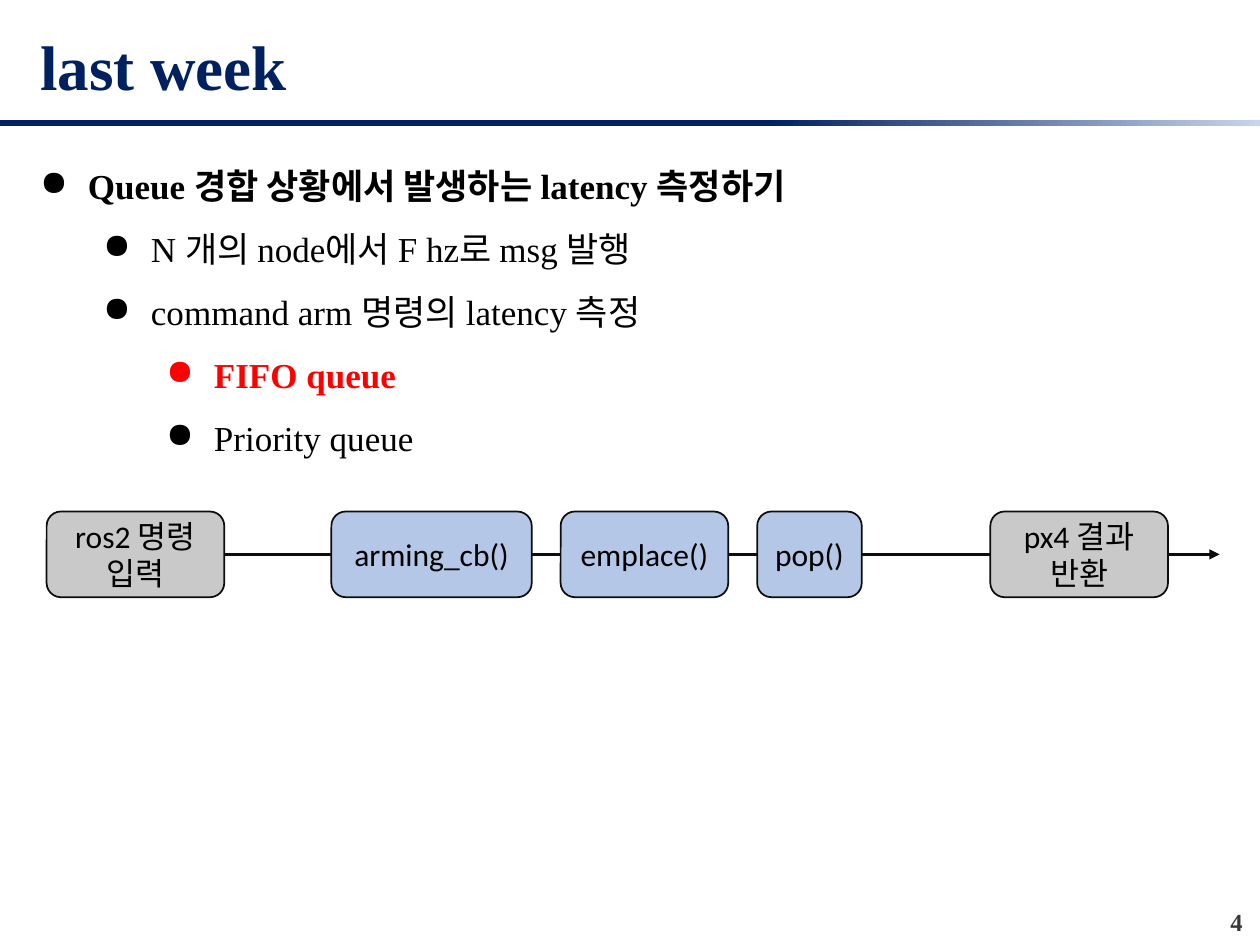
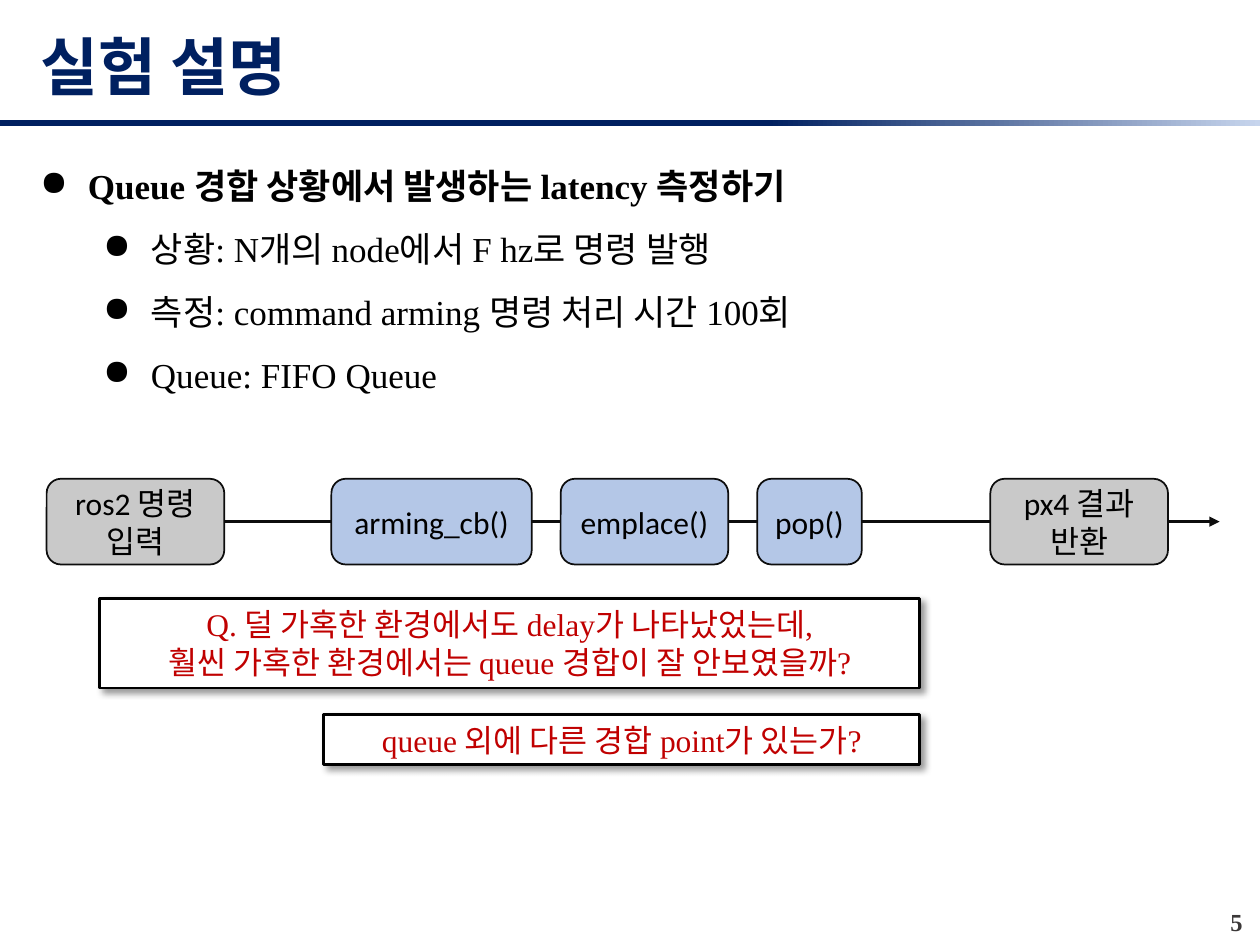
import pptx
import pptx.util
import pptx.dml.color
import pptx.enum.shapes
import pptx.enum.text
import pptx.oxml
import pptx.oxml.ns

SERIF, SANS = "Times New Roman", "Calibri"
COLORS = {
    "navy": "002060", "pale": "C7D5ED", "black": "000000", "white": "FFFFFF",
    "red": "FF0000", "question": "C00000", "page": "3B3838",
    "outline": "0D0D0D", "endpoint": "C9C9C9", "stage": "B4C7E7",
}

# Bullets: (level, text, colour, bold)
TOPIC = (0, "Queue 경합 상황에서 발생하는 latency 측정하기", "black", True)
SLIDES = [
    {
        "title": "last week",
        "page": 4,
        "bullets": [
            TOPIC,
            (1, "N 개의 node에서 F hz로 msg 발행", "black", False),
            (1, "command arm 명령의 latency 측정", "black", False),
            (2, "FIFO queue", "red", True),
            (2, "Priority queue", "black", False),
        ],
        "flow_top": 4.06,
        "questions": [],
    },
    {
        "title": "실험 설명",
        "page": 5,
        "bullets": [
            TOPIC,
            (1, "상황: N개의 node에서 F hz로 명령 발행", "black", False),
            (1, "측정: command arming 명령 처리 시간 100회", "black", False),
            (1, "Queue: FIFO Queue", "black", False),
        ],
        "flow_top": 3.8,
        # Questions: (lines, top, width, height)
        "questions": [
            (["Q. 덜 가혹한 환경에서도 delay가 나타났었는데,",
              "훨씬 가혹한 환경에서는 queue 경합이 잘 안보였을까?"], 4.75, 6.51, 0.71),
            (["queue 외에 다른 경합 point가 있는가?"], 5.67, 4.73, 0.4),
        ],
    },
]
# Flow from left to right: (text, gap before, width, colour)
FLOW = [
    ("ros2 명령 입력", 0.37, 1.41, "endpoint"),
    ("arming_cb()", 0.85, 1.59, "stage"),
    ("emplace()", 0.23, 1.33, "stage"),
    ("pop()", 0.23, 0.83, "stage"),
    ("px4 결과 반환", 1.02, 1.41, "endpoint"),
]

WIDTH, HEIGHT = 10, 7.5
MARGIN, TEXT_WIDTH = 0.22, 9.5
FLOW_HEIGHT = 0.68
ARROW_START, ARROW_END = 0.49, 9.68
QUESTION_RIGHT = 7.3
HANGING, LEVEL_STEP = 0.38, 0.5

SHAPES = pptx.enum.shapes.MSO_SHAPE
ALIGN = pptx.enum.text.PP_ALIGN
MIDDLE = pptx.enum.text.MSO_ANCHOR.MIDDLE
GROW = pptx.enum.text.MSO_AUTO_SIZE.SHAPE_TO_FIT_TEXT


def rgb(name):
    return pptx.dml.color.RGBColor.from_string(COLORS[name])


def inches(*lengths):
    return [pptx.util.Inches(length) for length in lengths]


def add_xml(parent, tag, inner="", **attributes):
    listed = "".join(f' {key}="{value}"' for key, value in attributes.items())
    parent.append(pptx.oxml.parse_xml(
        f'<a:{tag} {pptx.oxml.ns.nsdecls("a")}{listed}>{inner}</a:{tag}>'))


def write(paragraph, text, size, font, color, bold=False, align=ALIGN.LEFT):
    paragraph.alignment = align
    run = paragraph.add_run()
    run.text = text
    run.font.size = pptx.util.Pt(size)
    run.font.name = font
    run.font.bold = bold
    run.font.color.rgb = rgb(color)


def paragraphs(frame, count):
    """Return the frame's first paragraph and as many new ones as needed."""
    return [frame.paragraphs[0]] + [frame.add_paragraph() for _ in range(count - 1)]


def add_text_frame(slide, left, top, width, height):
    frame = slide.shapes.add_textbox(*inches(left, top, width, height)).text_frame
    frame.word_wrap = True
    return frame


def add_box(slide, preset, bounds, fill, line, line_width):
    box = slide.shapes.add_shape(preset, *inches(*bounds))
    box.shadow.inherit = False
    box.fill.solid()
    box.fill.fore_color.rgb = rgb(fill)
    box.line.color.rgb = rgb(line)
    box.line.width = pptx.util.Pt(line_width)
    box.text_frame.word_wrap = True
    box.text_frame.vertical_anchor = MIDDLE
    return box


def add_bullets(slide, bullets):
    frame = add_text_frame(slide, MARGIN, 1.09, TEXT_WIDTH, 0.06 + 0.5 * len(bullets))
    frame.auto_size = GROW
    for paragraph, (level, text, color, bold) in zip(paragraphs(frame, len(bullets)), bullets):
        properties = paragraph._p.get_or_add_pPr()
        indent, hanging = inches(HANGING + LEVEL_STEP * level, HANGING)
        properties.set("marL", str(indent))
        properties.set("indent", str(-hanging))
        add_xml(properties, "buChar", char="●")
        paragraph.level = level
        paragraph.line_spacing = 1.5
        write(paragraph, text, 20, SERIF, color, bold)


def add_frame(slide, title, page):
    """Add the page number, title and gradient rule that every slide has."""
    number = add_text_frame(slide, 9.54, 7.15, 0.42, 0.3)
    write(number.paragraphs[0], str(page), 14, SERIF, "page", True, ALIGN.RIGHT)
    heading = add_text_frame(slide, MARGIN, 0.12, TEXT_WIDTH, 0.8)
    heading.vertical_anchor = MIDDLE
    write(heading.paragraphs[0], title, 36, SERIF, "navy", True)

    rule = slide.shapes.add_shape(SHAPES.RECTANGLE, *inches(0, 0.95, WIDTH, 0.05))
    rule.shadow.inherit = False
    rule.line.fill.background()
    rule.fill.gradient()
    rule.fill.gradient_angle = 0
    for stop, color, position in zip(rule.fill.gradient_stops, ("navy", "pale"), (0.61, 1)):
        stop.color.rgb = rgb(color)
        stop.position = position


def add_flow(slide, top):
    middle = top + FLOW_HEIGHT / 2
    arrow = slide.shapes.add_connector(
        pptx.enum.shapes.MSO_CONNECTOR.STRAIGHT,
        *inches(ARROW_START, middle, ARROW_END, middle))
    arrow.line.color.rgb = rgb("outline")
    arrow.line.width = pptx.util.Pt(1.5)
    add_xml(arrow.line._get_or_add_ln(), "tailEnd", type="triangle")
    add_xml(arrow._element.spPr, "effectLst")

    left = 0
    for text, gap, width, color in FLOW:
        left += gap
        step = add_box(slide, SHAPES.ROUNDED_RECTANGLE, (left, top, width, FLOW_HEIGHT),
                       color, "outline", 1)
        write(step.text_frame.paragraphs[0], text, 18, SANS, "black", align=ALIGN.CENTER)
        left += width


def add_question(slide, lines, top, width, height):
    question = add_box(slide, SHAPES.RECTANGLE, (QUESTION_RIGHT - width, top, width, height),
                       "white", "black", 1.5)
    question.text_frame.auto_size = GROW
    effects = question._element.spPr.find(pptx.oxml.ns.qn("a:effectLst"))
    add_xml(effects, "outerShdw",
            f'<a:srgbClr val="{COLORS["black"]}"><a:alpha val="40000"/></a:srgbClr>',
            blurRad=pptx.util.Pt(4), dist=pptx.util.Pt(3), dir=45 * 60000,
            algn="tl", rotWithShape=0)
    for paragraph, line in zip(paragraphs(question.text_frame, len(lines)), lines):
        write(paragraph, line, 18, SERIF, "question", align=ALIGN.CENTER)


def main():
    deck = pptx.Presentation()
    deck.slide_width, deck.slide_height = inches(WIDTH, HEIGHT)
    for content in SLIDES:
        slide = deck.slides.add_slide(deck.slide_layouts[6])
        add_bullets(slide, content["bullets"])
        add_frame(slide, content["title"], content["page"])
        for question in content["questions"]:
            add_question(slide, *question)
        add_flow(slide, content["flow_top"])
    deck.save("out.pptx")


if __name__ == "__main__":
    main()
